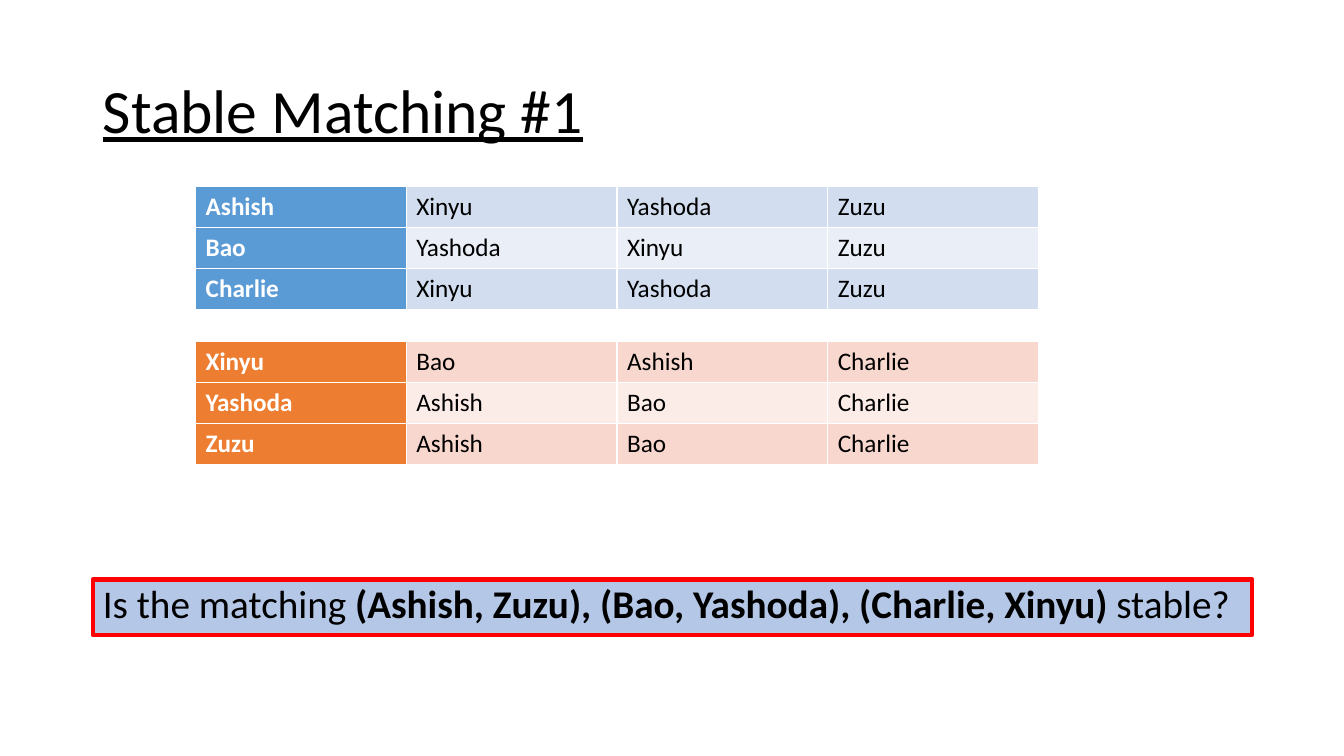
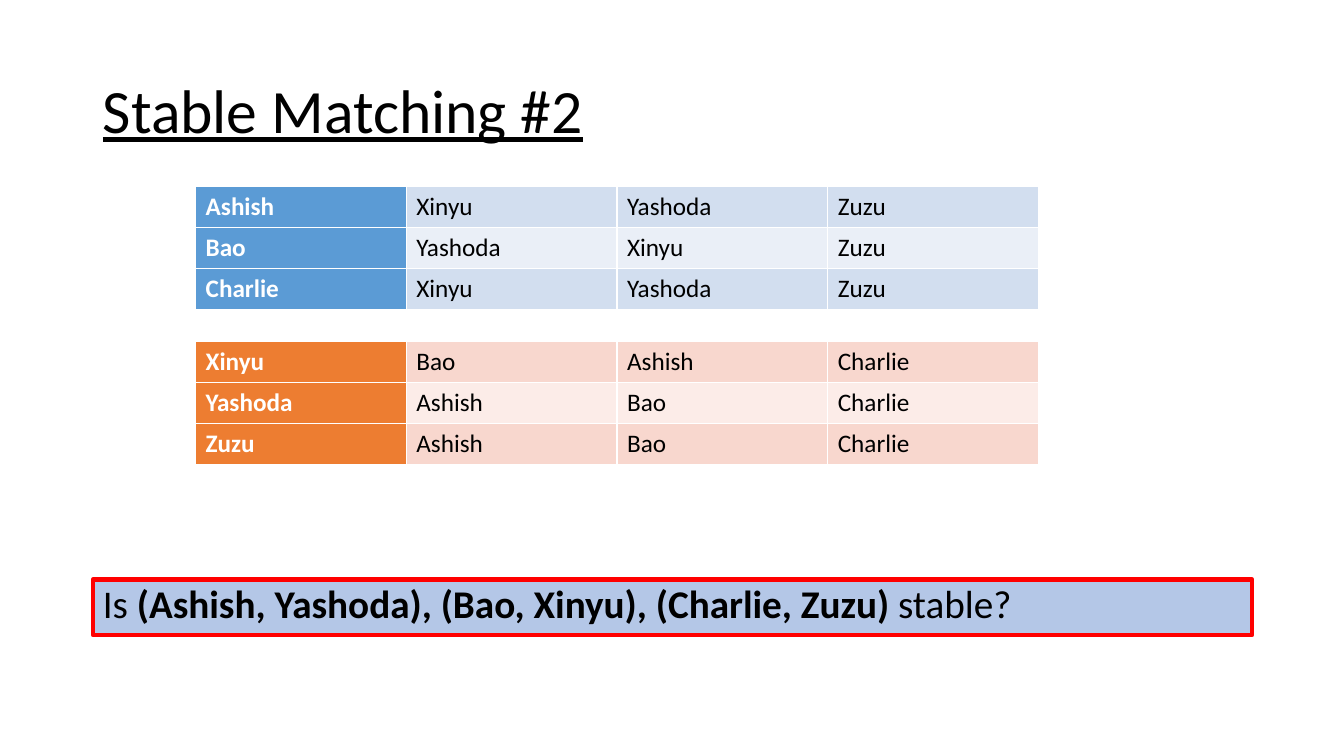
from dataclasses import dataclass

from lxml import etree
from pptx import Presentation
from pptx.dml.color import RGBColor
from pptx.enum.text import MSO_ANCHOR, MSO_AUTO_SIZE, PP_ALIGN
from pptx.oxml.ns import qn
from pptx.util import Inches, Pt

LEFT = PP_ALIGN.LEFT
TOP, MIDDLE = MSO_ANCHOR.TOP, MSO_ANCHOR.MIDDLE
NO_FIT = MSO_AUTO_SIZE.NONE

FONT = "Calibri"
HEX = {
    "text": "000000",
    "white": "FFFFFF",
    "box": "B4C7E7",
    "edge": "FF0000",
    "blue": "5B9BD5",
    "blue_odd": "D2DEEF",
    "blue_even": "EAEFF7",
    "orange": "ED7D31",
    "orange_odd": "F8D7CE",
    "orange_even": "FCECE8",
}
MARGIN, WIDE = 0.92, 11.5
GRID_X, COL_W, ROW_H = 1.94, 2.09, 0.4


@dataclass
class Prefs:
    """Ranked choices: each row is a person, then the choices in order."""
    top: float
    hue: str
    rows: list[list[str]]


@dataclass
class Quiz:
    title: str
    lead: str
    pairs: str


TABLES = [
    Prefs(1.85, "blue", [
        ["Ashish", "Xinyu", "Yashoda", "Zuzu"],
        ["Bao", "Yashoda", "Xinyu", "Zuzu"],
        ["Charlie", "Xinyu", "Yashoda", "Zuzu"],
    ]),
    Prefs(3.39, "orange", [
        ["Xinyu", "Bao", "Ashish", "Charlie"],
        ["Yashoda", "Ashish", "Bao", "Charlie"],
        ["Zuzu", "Ashish", "Bao", "Charlie"],
    ]),
]
QUIZZES = [
    Quiz("Stable Matching #1", "Is the matching ",
         "(Ashish, Zuzu), (Bao, Yashoda), (Charlie, Xinyu)"),
    Quiz("Stable Matching #2", "Is ",
         "(Ashish, Yashoda), (Bao, Xinyu), (Charlie, Zuzu)"),
]


def color(key: str) -> RGBColor:
    return RGBColor.from_string(HEX[key])


def style(run, size: float, key: str = "text", bold: bool = False) -> None:
    run.font.name = FONT
    run.font.size = Pt(size)
    run.font.bold = bold
    run.font.color.rgb = color(key)


def place(shape, top: float, height: float, anchor):
    """Move a placeholder to the shared margins and return its paragraph."""
    shape.left, shape.top = Inches(MARGIN), Inches(top)
    shape.width, shape.height = Inches(WIDE), Inches(height)
    frame = shape.text_frame
    frame.word_wrap = True
    frame.auto_size = NO_FIT
    frame.vertical_anchor = anchor
    para = frame.paragraphs[0]
    para.alignment = LEFT
    para.line_spacing = 0.9
    return para


def add_title(slide, text: str) -> None:
    para = place(slide.shapes.title, 0.4, 1.45, MIDDLE)
    para.text = text
    run = para.runs[0]
    style(run, 44)
    run.font.underline = True


def add_query(slide, quiz: Quiz) -> None:
    box = slide.placeholders[1]
    para = place(box, 5.75, 0.55, TOP)
    box.fill.solid()
    box.fill.fore_color.rgb = color("box")
    box.line.color.rgb = color("edge")
    box.line.width = Pt(3)
    para.space_before = Pt(10)
    # No bullet and no hanging indent
    props = para._p.get_or_add_pPr()
    props.set("marL", "0")
    props.set("indent", "0")
    etree.SubElement(props, qn("a:buNone"))
    for text, bold in ((quiz.lead, False), (quiz.pairs, True),
                       (" stable?", False)):
        run = para.add_run()
        run.text = text
        style(run, 28, bold=bold)


def add_rules(cell) -> None:
    """Draw a thin white border on all four sides of a cell."""
    props = cell._tc.get_or_add_tcPr()
    for side in "LRTB":
        line = etree.SubElement(props, qn(f"a:ln{side}"), w=str(Pt(1)))
        fill = etree.SubElement(line, qn("a:solidFill"))
        etree.SubElement(fill, qn("a:srgbClr"), val=HEX["white"])


def add_prefs(slide, prefs: Prefs) -> None:
    rows, cols = len(prefs.rows), len(prefs.rows[0])
    table = slide.shapes.add_table(
        rows, cols, Inches(GRID_X), Inches(prefs.top),
        Inches(cols * COL_W), Inches(rows * ROW_H)).table
    table.first_row = table.horz_banding = False
    table.first_col = True
    for r, names in enumerate(prefs.rows):
        band = prefs.hue + ("_even" if r % 2 else "_odd")
        for c, name in enumerate(names):
            head = c == 0
            cell = table.cell(r, c)
            add_rules(cell)
            cell.fill.solid()
            cell.fill.fore_color.rgb = color(prefs.hue if head else band)
            cell.text_frame.text = name
            run = cell.text_frame.paragraphs[0].runs[0]
            style(run, 18, "white" if head else "text", head)


def main() -> None:
    deck = Presentation()
    deck.slide_width, deck.slide_height = Inches(13.33), Inches(7.5)
    for quiz in QUIZZES:
        slide = deck.slides.add_slide(deck.slide_layouts[1])
        add_title(slide, quiz.title)
        add_query(slide, quiz)
        for prefs in TABLES:
            add_prefs(slide, prefs)
    deck.save("out.pptx")


if __name__ == "__main__":
    main()
